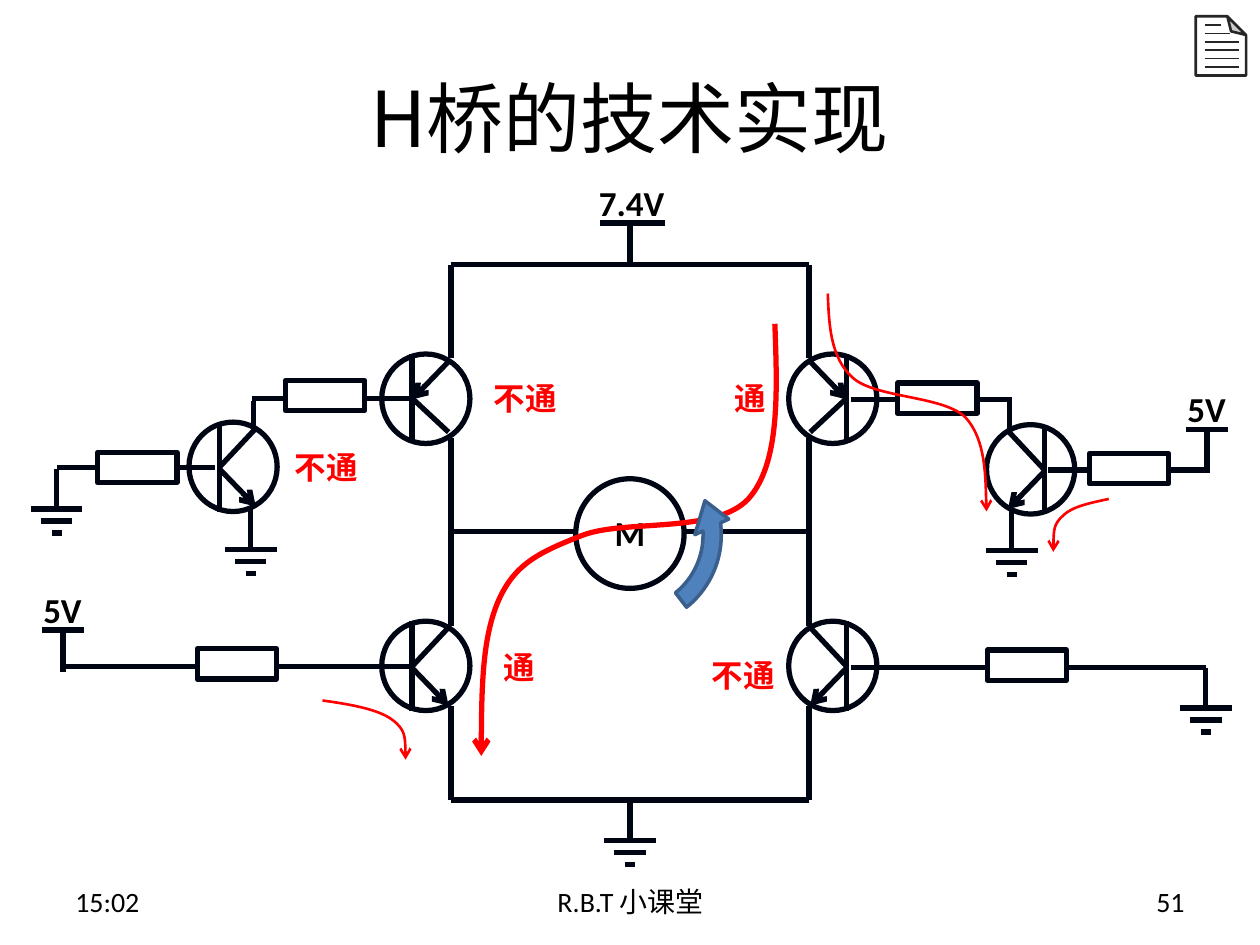
from dataclasses import dataclass
from typing import NamedTuple
from lxml.etree import SubElement
from pptx import Presentation
from pptx.dml.color import RGBColor
from pptx.enum.shapes import MSO_CONNECTOR, MSO_SHAPE
from pptx.enum.text import MSO_ANCHOR, PP_ALIGN
from pptx.oxml.ns import qn
from pptx.util import Inches, Pt

@dataclass(frozen=True)
class Theme:
    latin: str = "Calibri"
    chinese: str = "Noto Sans CJK SC"
    black: str = "000000"
    circuit: str = "000514"
    current: str = "FF0000"
    rotation: str = "4F81BD"
    rotation_edge: str = "3A5F8C"
    page: str = "FFFFFF"
    page_edge: str = "262626"
    title_size: float = 44
    label_size: float = 20
    state_size: float = 18
    footer_size: float = 16
    wire_width: float = 3

class Wire(NamedTuple):
    x1: float
    y1: float
    x2: float
    y2: float

class Transistor(NamedTuple):
    left: float
    top: float
    mirrored: bool = False
    arrow_inward: bool = False

class Supply(NamedTuple):
    center: float
    stem: float
    top: float
    bar: float
    label: str
    label_width: float

THEME = Theme()
presentation = Presentation()
presentation.slide_width, presentation.slide_height = Inches(10), Inches(7.5)
slide = presentation.slides.add_slide(presentation.slide_layouts[5])
shapes = slide.shapes

def style_line(line, color: str, width: float, arrow: bool = False) -> None:
    line.color.rgb = RGBColor.from_string(color)
    line.width = Pt(width)
    if arrow:
        SubElement(line._get_or_add_ln(), qn("a:tailEnd"), type="arrow")

def style_text(frame, text: str, size: float, color: str = THEME.black, bold: bool = False,
               align=PP_ALIGN.LEFT, latin: str = THEME.latin) -> None:
    frame.text = text
    frame.paragraphs[0].alignment = align
    for run in frame.paragraphs[0].runs:
        run.font.size, run.font.bold, run.font.name = Pt(size), bold, latin
        run.font.color.rgb = RGBColor.from_string(color)
        SubElement(run.font._element, qn("a:ea"), typeface=THEME.chinese)

def add_text(text: str, left: float, top: float, width: float, height: float, size: float,
             color: str = THEME.black, bold: bool = True, align=PP_ALIGN.LEFT):
    frame = shapes.add_textbox(*map(Inches, (left, top, width, height))).text_frame
    frame.word_wrap = False
    style_text(frame, text, size, color, bold, align)
    return frame

def add_line(wire: Wire, color: str = THEME.circuit, width: float = THEME.wire_width,
             arrow: bool = False) -> None:
    connector = shapes.add_connector(MSO_CONNECTOR.STRAIGHT, *map(Inches, wire))
    style_line(connector.line, color, width, arrow)
    SubElement(connector._element.spPr, qn("a:effectLst"))

def add_outline(kind, left: float, top: float, width: float, height: float, fill: str = "",
                color: str = THEME.circuit, line_width: float = THEME.wire_width):
    shape = shapes.add_shape(kind, *map(Inches, (left, top, width, height)))
    shape.shadow.inherit = False
    if fill:
        shape.fill.solid()
        shape.fill.fore_color.rgb = RGBColor.from_string(fill)
    else:
        shape.fill.background()
    style_line(shape.line, color, line_width)
    return shape

def flip_and_adjust(shape, adjustments: dict[str, int]) -> None:
    shape._element.spPr.find(qn("a:xfrm")).set("flipV", "1")
    geometry = shape._element.spPr.find(qn("a:prstGeom"))
    for child in list(geometry):
        geometry.remove(child)
    guides = SubElement(geometry, qn("a:avLst"))
    for name, value in adjustments.items():
        SubElement(guides, qn("a:gd"), name=name, fmla=f"val {value}")

def add_ground(x: float, y: float) -> None:
    add_line(Wire(x, y - 0.32, x, y))
    for index, bar in enumerate((0.41, 0.25, 0.08)):
        level = y + index * 0.095
        add_line(Wire(x - bar / 2, level, x + bar / 2, level))

def add_supply(supply: Supply) -> None:
    center, stem, top, bar, label, width = supply
    add_line(Wire(stem, top, stem, top + 0.33))
    add_line(Wire(center - bar / 2, top, center + bar / 2, top))
    add_text(label, center - width / 2, top - 0.38, width, 0.44, THEME.label_size)

def add_transistor(transistor: Transistor) -> None:
    left, top, mirrored, inward = transistor
    base, arm = (left + 0.46, left + 0.17) if mirrored else (left + 0.24, left + 0.53)
    add_outline(MSO_SHAPE.OVAL, left, top, 0.7, 0.71)
    add_line(Wire(base, top, base, top + 0.71))
    if inward:
        add_line(Wire(arm, top + 0.06, base, top + 0.36), arrow=True)
        add_line(Wire(arm, top + 0.62, base, top + 0.35))
    else:
        add_line(Wire(base, top + 0.37, arm, top + 0.67), arrow=True)
        add_line(Wire(arm, top + 0.05, base, top + 0.36))

def add_current(width: float, points: list[tuple[float, float]]) -> None:
    start, *others = [(Inches(x), Inches(y)) for x, y in points]
    builder = shapes.build_freeform(*start)
    builder.add_line_segments(others, close=False)
    shape = builder.convert_to_shape()
    shape.shadow.inherit = False
    shape.fill.background()
    style_line(shape.line, THEME.current, width, True)
    outline = next(shape._element.iter(qn("a:path")))
    segments = outline.findall(qn("a:lnTo"))
    for first in range(0, len(segments), 3):
        curve = SubElement(outline, qn("a:cubicBezTo"))
        for segment in segments[first:first + 3]:
            curve.append(segment[0])
            outline.remove(segment)

title = shapes.title
title.left, title.top, title.width, title.height = map(Inches, (0.5, 0.3, 9, 1.25))
title.text_frame.vertical_anchor = MSO_ANCHOR.MIDDLE
style_text(title.text_frame, "H桥的技术实现", THEME.title_size,
           align=PP_ALIGN.CENTER, latin=THEME.chinese)
for text, left, width, align in (("15:02", 0.5, 2.33, PP_ALIGN.LEFT),
                                 ("R.B.T 小课堂", 3.42, 3.17, PP_ALIGN.CENTER),
                                 ("51", 7.17, 2.33, PP_ALIGN.RIGHT)):
    footer = add_text(text, left, 6.95, width, 0.4, THEME.footer_size, bold=False, align=align)
    footer.word_wrap = True
    footer.vertical_anchor = MSO_ANCHOR.MIDDLE

for rail, motor_side in ((3.58, 4.57), (6.42, 5.43)):
    for y, inner in ((2.1, 5), (4.22, motor_side), (6.35, 5)):
        add_line(Wire(rail, y, inner, y))
    for y1, y2 in ((2.1, 2.84), (3.48, 4.22), (4.22, 4.97), (5.6, 6.35)):
        add_line(Wire(rail, y1, rail, y2))
for wire in (Wire(6.75, 3.17, 7.13, 3.17), Wire(7.76, 3.17, 8.03, 3.17),
             Wire(6.75, 5.3, 7.82, 5.3), Wire(8.48, 5.3, 9.57, 5.3),
             Wire(8.01, 3.19, 8.01, 3.43), Wire(8.32, 3.73, 8.65, 3.73),
             Wire(9.27, 3.73, 9.6, 3.73), Wire(3.26, 3.16, 2.88, 3.16),
             Wire(2.26, 3.16, 2, 3.16), Wire(3.26, 5.29, 2.2, 5.29),
             Wire(1.55, 5.29, 0.48, 5.29), Wire(2.01, 3.18, 2.01, 3.41),
             Wire(0.77, 3.71, 0.45, 3.71), Wire(1.71, 3.71, 1.39, 3.71)):
    add_line(wire)
for x, y in ((5, 6.67), (8.03, 4.37), (1.99, 4.36), (0.45, 4.04), (9.57, 5.62)):
    add_ground(x, y)
for supply in (Supply(5.02, 5, 1.77, 0.52, "7.4V", 0.73),
               Supply(9.58, 9.58, 3.41, 0.33, "5V", 0.51),
               Supply(0.5, 0.5, 5, 0.33, "5V", 0.51)):
    add_supply(supply)
for transistor in (Transistor(3.03, 2.81, arrow_inward=True), Transistor(3.03, 4.93),
                   Transistor(6.26, 2.81, True, True), Transistor(6.26, 4.93, True),
                   Transistor(7.83, 3.37, True), Transistor(1.5, 3.35)):
    add_transistor(transistor)
for x, y in ((7.44, 3.16), (8.15, 5.28), (8.96, 3.72), (2.58, 3.14), (1.88, 5.27), (1.09, 3.71)):
    add_outline(MSO_SHAPE.RECTANGLE, x - 0.315, y - 0.12, 0.63, 0.24)
add_outline(MSO_SHAPE.OVAL, 4.57, 3.8, 0.86, 0.87)
add_text("M", 4.77, 4.01, 0.46, 0.44, THEME.label_size, align=PP_ALIGN.CENTER)

add_current(1.5, [(8.8, 3.96), (8.66, 3.99), (8.51, 4.02), (8.44, 4.09),
                  (8.36, 4.16), (8.36, 4.27), (8.36, 4.38)])
add_current(1.5, [(6.57, 2.33), (6.58, 2.58), (6.59, 2.84), (6.77, 3), (6.95, 3.16),
                  (7.48, 3.14), (7.66, 3.31), (7.83, 3.49), (7.83, 4.06), (7.83, 4.06)])
add_current(1.5, [(2.56, 5.56), (2.78, 5.59), (3, 5.63), (3.11, 5.71),
                  (3.22, 5.79), (3.22, 5.91), (3.22, 6.03)])
add_current(3, [(6.15, 2.57), (6.17, 3.12), (6.19, 3.68), (5.94, 3.96), (5.68, 4.24),
                (4.95, 4.12), (4.62, 4.25), (4.29, 4.38), (4.09, 4.47), (3.96, 4.76),
                (3.83, 5.05), (3.82, 5.53), (3.82, 6)])
for text, left, top, width in (("不通", 2.24, 3.51, 0.71), ("不通", 3.82, 2.96, 0.71),
                               ("不通", 5.55, 5.16, 0.71), ("通", 5.73, 2.96, 0.46),
                               ("通", 3.9, 5.09, 0.46)):
    add_text(text, left, top, width, 0.4, THEME.state_size, THEME.current)

rotation = add_outline(MSO_SHAPE.CIRCULAR_ARROW, 4.21, 3.44, 1.59, 1.61,
                       THEME.rotation, THEME.rotation_edge, 2)
rotation.rotation = 180
flip_and_adjust(rotation, {"adj1": 9100, "adj2": 1145280, "adj3": 11138460,
                           "adj4": 7662600, "adj5": 9300})
page = add_outline(MSO_SHAPE.FOLDED_CORNER, 9.49, 0.13, 0.4, 0.47, THEME.page, THEME.page_edge, 1.5)
flip_and_adjust(page, {"adj": 37200})
for index, end in enumerate((9.69, 9.76, 9.83, 9.83, 9.83, 9.83)):
    y = 0.2 + index * 0.066
    add_line(Wire(9.56, y, end, y), THEME.page_edge, 1)
presentation.save("out.pptx")
